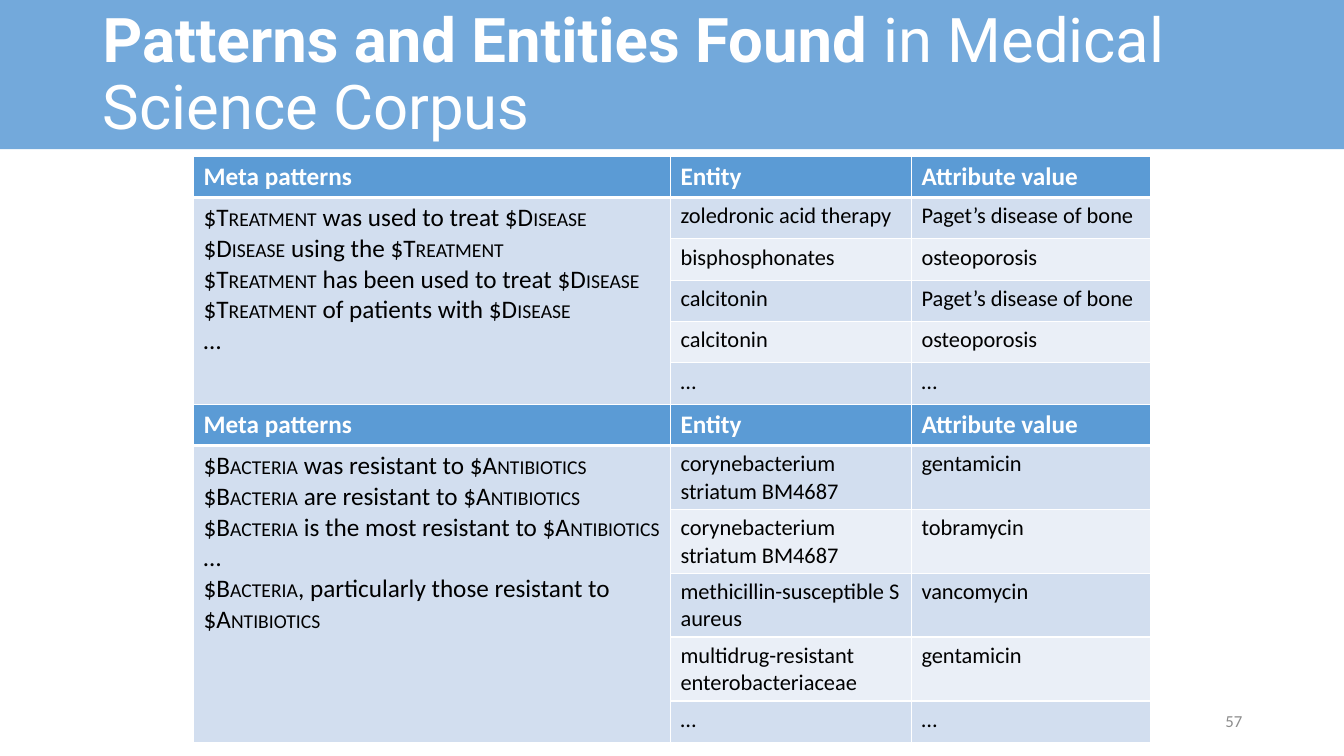
"""Build the slide on meta patterns and entities in a medical corpus."""
from dataclasses import dataclass
from typing import Any

from lxml.etree import SubElement
from pptx import Presentation
from pptx.dml.color import RGBColor
from pptx.enum.shapes import MSO_SHAPE as Shape
from pptx.enum.text import MSO_ANCHOR as Anchor, PP_ALIGN as Align
from pptx.oxml import parse_xml
from pptx.oxml.ns import nsdecls, qn
from pptx.util import Inches, Pt

COLORS = {"blue": "5B9BD5", "odd": "D2DEEF", "even": "EAEFF7",
          "white": "FFFFFF", "black": "000000", "gray": "8C8C8C"}
HEADINGS = ("Meta patterns", "Entity", "Attribute value")
COLUMN_WIDTHS = (4.73, 2.39, 2.37)
ROW_HEIGHT = 0.41
TABLE_LEFT = 1.92
BODY_SIZE, SMALL_CAPS_SIZE, ENTITY_SIZE = 18, 14, 16


@dataclass
class PatternTable:
    """Patterns, with small capitals between bars, and the entities they find."""
    top: float
    patterns: list[str]
    entities: list[tuple[str, str]]


TABLES = [
    PatternTable(
        4.01,
        ["$B|ACTERIA| was resistant to $A|NTIBIOTICS",
         "$B|ACTERIA| are resistant to $A|NTIBIOTICS",
         "$B|ACTERIA| is the most resistant to $A|NTIBIOTICS",
         "…",
         "$B|ACTERIA|, particularly those resistant to $A|NTIBIOTICS"],
        [("corynebacterium striatum BM4687", "gentamicin"),
         ("corynebacterium striatum BM4687", "tobramycin"),
         ("methicillin-susceptible S aureus", "vancomycin"),
         ("multidrug-resistant enterobacteriaceae", "gentamicin"),
         ("…", "…")]),
    PatternTable(
        1.55,
        ["$T|REATMENT| was used to treat $D|ISEASE",
         "$D|ISEASE| using the $T|REATMENT",
         "$T|REATMENT| has been used to treat $D|ISEASE",
         "$T|REATMENT| of patients with $D|ISEASE",
         "…"],
        [("zoledronic acid therapy", "Paget’s disease of bone"),
         ("bisphosphonates", "osteoporosis"),
         ("calcitonin", "Paget’s disease of bone"),
         ("calcitonin", "osteoporosis"),
         ("…", "…")]),
]


def add_run(paragraph: Any, text: str, size: float, color: str,
            bold: bool = False, name: str = "Calibri") -> None:
    """Append one formatted run."""
    run = paragraph.add_run()
    run.text = text
    for key, value in {"size": Pt(size), "bold": bold, "name": name}.items():
        setattr(run.font, key, value)
    run.font.color.rgb = RGBColor.from_string(COLORS[color])


def add_text_box(slide: Any, left: float, top: float, width: float, height: float) -> Any:
    """Add a wrapping, vertically centred text box and return its paragraph."""
    frame = slide.shapes.add_textbox(
        Inches(left), Inches(top), Inches(width), Inches(height)).text_frame
    for key, value in {"word_wrap": True, "vertical_anchor": Anchor.MIDDLE}.items():
        setattr(frame, key, value)
    return frame.paragraphs[0]


def style_cell(cell: Any, fill: str, top: float, bottom: float) -> None:
    """Fill a cell and give it white borders."""
    cell.fill.solid()
    cell.fill.fore_color.rgb = RGBColor.from_string(COLORS[fill])
    properties = cell._tc.get_or_add_tcPr()
    widths = {"lnL": 1, "lnR": 1, "lnT": top, "lnB": bottom}
    for index, (side, width) in enumerate(widths.items()):
        properties.insert(index, parse_xml(
            f'<a:{side} {nsdecls("a")} w="{Pt(width)}"><a:solidFill>'
            f'<a:srgbClr val="{COLORS["white"]}"/></a:solidFill></a:{side}>'))


def write_patterns(frame: Any, patterns: list[str]) -> None:
    """Write one paragraph per pattern, alternating full size and small capitals."""
    for number, pattern in enumerate(patterns):
        paragraph = frame.add_paragraph() if number else frame.paragraphs[0]
        for index, part in enumerate(pattern.split("|")):
            add_run(paragraph, part, SMALL_CAPS_SIZE if index % 2 else BODY_SIZE, "black")


def add_pattern_table(slide: Any, content: PatternTable) -> None:
    """Draw one table of patterns and entities."""
    row_count = len(content.entities) + 1
    table = slide.shapes.add_table(
        row_count, len(HEADINGS), Inches(TABLE_LEFT), Inches(content.top),
        Inches(sum(COLUMN_WIDTHS)), Inches(ROW_HEIGHT * row_count)).table
    for key in ("first_row", "horz_banding"):
        setattr(table, key, False)
    for column, width in zip(table.columns, COLUMN_WIDTHS):
        column.width = Inches(width)
    for row in table.rows:
        row.height = Inches(ROW_HEIGHT)
    for column, heading in enumerate(HEADINGS):
        cell = table.cell(0, column)
        style_cell(cell, "blue", 1, 3)
        add_run(cell.text_frame.paragraphs[0], heading, BODY_SIZE, "white", True)
    for row, values in enumerate(content.entities, 1):
        fill = "odd" if row % 2 else "even"
        top = 3 if row == 1 else 1
        style_cell(table.cell(row, 0), "odd", top, 1)
        for column, value in enumerate(values, 1):
            cell = table.cell(row, column)
            style_cell(cell, fill, top, 1)
            add_run(cell.text_frame.paragraphs[0], value, ENTITY_SIZE, "black")
    table.cell(1, 0).merge(table.cell(row_count - 1, 0))
    write_patterns(table.cell(1, 0).text_frame, content.patterns)


def add_title_band(slide: Any) -> None:
    """Draw the translucent band and the title on it."""
    band = slide.shapes.add_shape(Shape.RECTANGLE, 0, 0, Inches(13.33), Inches(1.48))
    band.shadow.inherit = False
    band.line.fill.background()
    band.fill.solid()
    band.fill.fore_color.rgb = RGBColor.from_string(COLORS["blue"])
    color = band.fill._xPr.find(qn("a:solidFill"))[0]
    SubElement(color, qn("a:alpha")).set("val", "85000")
    title = add_text_box(slide, 0.92, 0.03, 11.5, 1.45)
    title.line_spacing = 0.9
    add_run(title, "Patterns and Entities Found ", 44, "white", True, "Roboto")
    add_run(title, "in Medical Science Corpus", 44, "white", False, "Roboto")


def main() -> None:
    """Build and save the presentation."""
    presentation = Presentation()
    presentation.slide_width = Inches(13.33)
    presentation.slide_height = Inches(7.5)
    slide = presentation.slides.add_slide(presentation.slide_layouts[6])
    add_title_band(slide)
    page_number = add_text_box(slide, 9.42, 6.95, 3, 0.4)
    page_number.alignment = Align.RIGHT
    add_run(page_number, "57", 12, "gray")
    for content in TABLES:
        add_pattern_table(slide, content)
    presentation.save("out.pptx")


if __name__ == "__main__":
    main()
